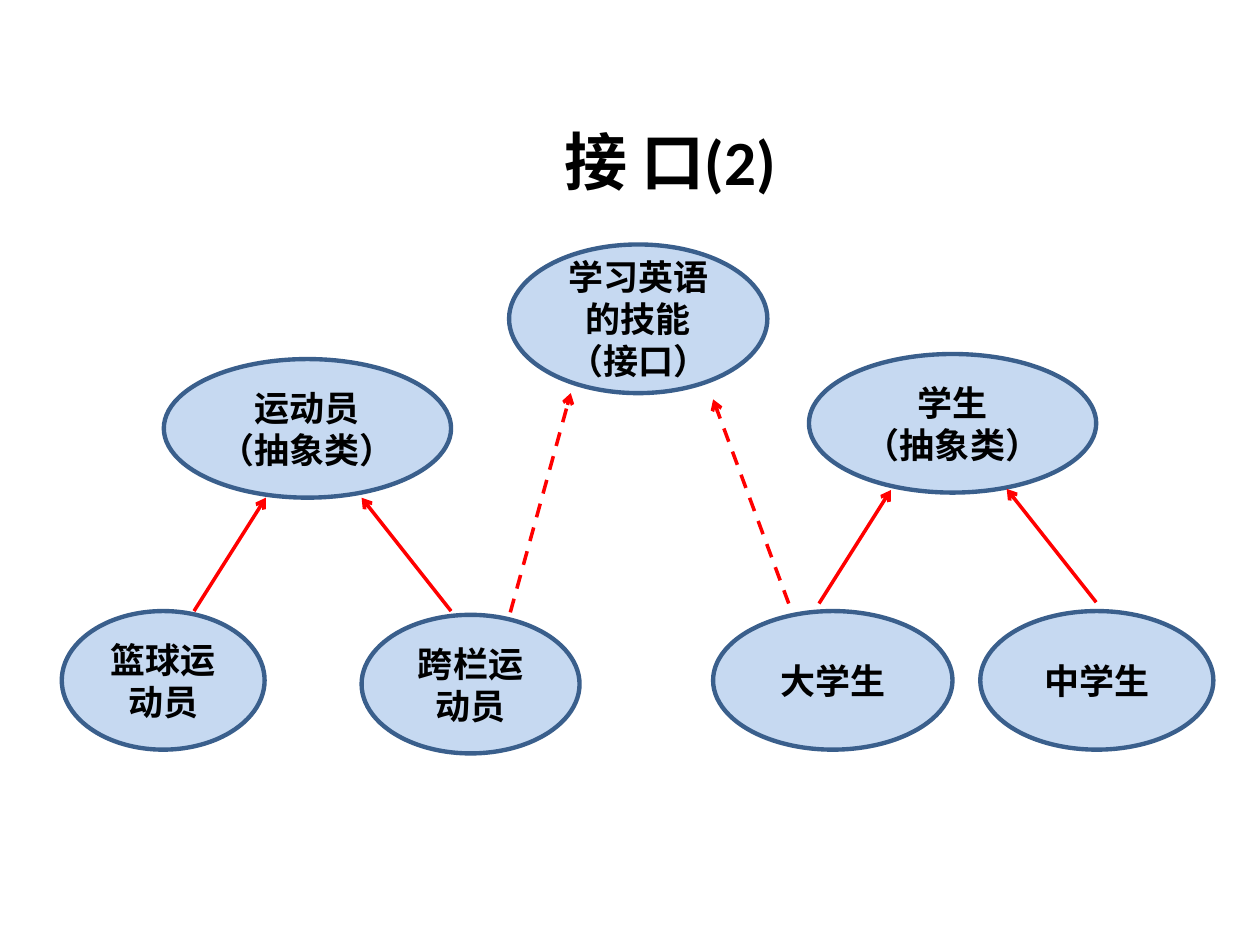
from pptx import Presentation, util as u
from pptx.dml.color import RGBColor
from pptx.enum import dml, shapes, text
from pptx.oxml.ns import qn
from lxml import etree

BLACK = RGBColor(0x00, 0x00, 0x00)
PALE = RGBColor(0xC6, 0xD9, 0xF1)
NAVY = RGBColor(0x3A, 0x5F, 0x8C)
RED = RGBColor(0xFF, 0x00, 0x00)
CJK = "Noto Sans CJK SC"

deck = Presentation()
deck.slide_width, deck.slide_height = u.Inches(10), u.Inches(7.5)
CELL = deck.slide_width / 100  # square grid: 100 columns by 75 rows


def grid(*cells):
    return [round(n * CELL) for n in cells]


def write(shape, words, size, face):
    frame = shape.text_frame
    frame.text = words
    frame.word_wrap = True
    frame.vertical_anchor = text.MSO_ANCHOR.MIDDLE
    style = {"size": u.Pt(size), "bold": True, "name": face}
    for para in frame.paragraphs:
        para.alignment = text.PP_ALIGN.CENTER
        for run in para.runs:
            for key, value in style.items():
                setattr(run.font, key, value)
            run.font.color.rgb = BLACK
            etree.SubElement(run.font._element, qn("a:ea"), typeface=CJK)


slide = deck.slides.add_slide(deck.slide_layouts[5])
title = slide.shapes.title
place = zip(("left", "top", "width", "height"), grid(28.6, 8.4, 49.2, 8.6))
for key, value in place:
    setattr(title, key, value)
write(title, "接 口(2)", 36, "Calibri")

# Classes and the interface: words, left, top, width, height
nodes = [
    ("运动员\n（抽象类）", 13, 28.5, 22.8, 11),
    ("学生\n（抽象类）", 64.2, 28.1, 22.8, 11),
    ("篮球运动员", 4.9, 48.5, 16.1, 11),
    ("大学生", 56.6, 48.5, 19, 11),
    ("跨栏运动员", 28.7, 48.8, 17.3, 11),
    ("中学生", 77.8, 48.5, 18.5, 11),
    ("学习英语的技能\n（接口）", 40.4, 19.4, 20.5, 11.8),
]
for words, *box in nodes:
    oval = slide.shapes.add_shape(shapes.MSO_SHAPE.OVAL, *grid(*box))
    oval.shadow.inherit = False
    oval.fill.solid()
    oval.fill.fore_color.rgb = PALE
    oval.line.color.rgb = NAVY
    oval.line.width = u.Pt(2.5)
    write(oval, words, 20, CJK)

# Solid arrows extend a class, dashed ones implement the interface
links = [
    (15.4, 48.5, 21.1, 39.5, False),
    (35.8, 48.5, 28.7, 39.5, False),
    (65, 47.9, 70.7, 38.9, False),
    (87, 47.8, 79.9, 38.8, False),
    (62.6, 47.9, 56.6, 31.7, True),
    (40.5, 48.6, 45.3, 31.2, True),
]
for *ends, dashed in links:
    link = slide.shapes.add_connector(shapes.MSO_CONNECTOR.STRAIGHT, *grid(*ends))
    link.line.color.rgb = RED
    link.line.width = u.Pt(2)
    if dashed:
        link.line.dash_style = dml.MSO_LINE.DASH
    etree.SubElement(link.line._get_or_add_ln(), qn("a:tailEnd"), type="arrow")
    etree.SubElement(link._element.spPr, qn("a:effectLst"))

deck.save("out.pptx")
